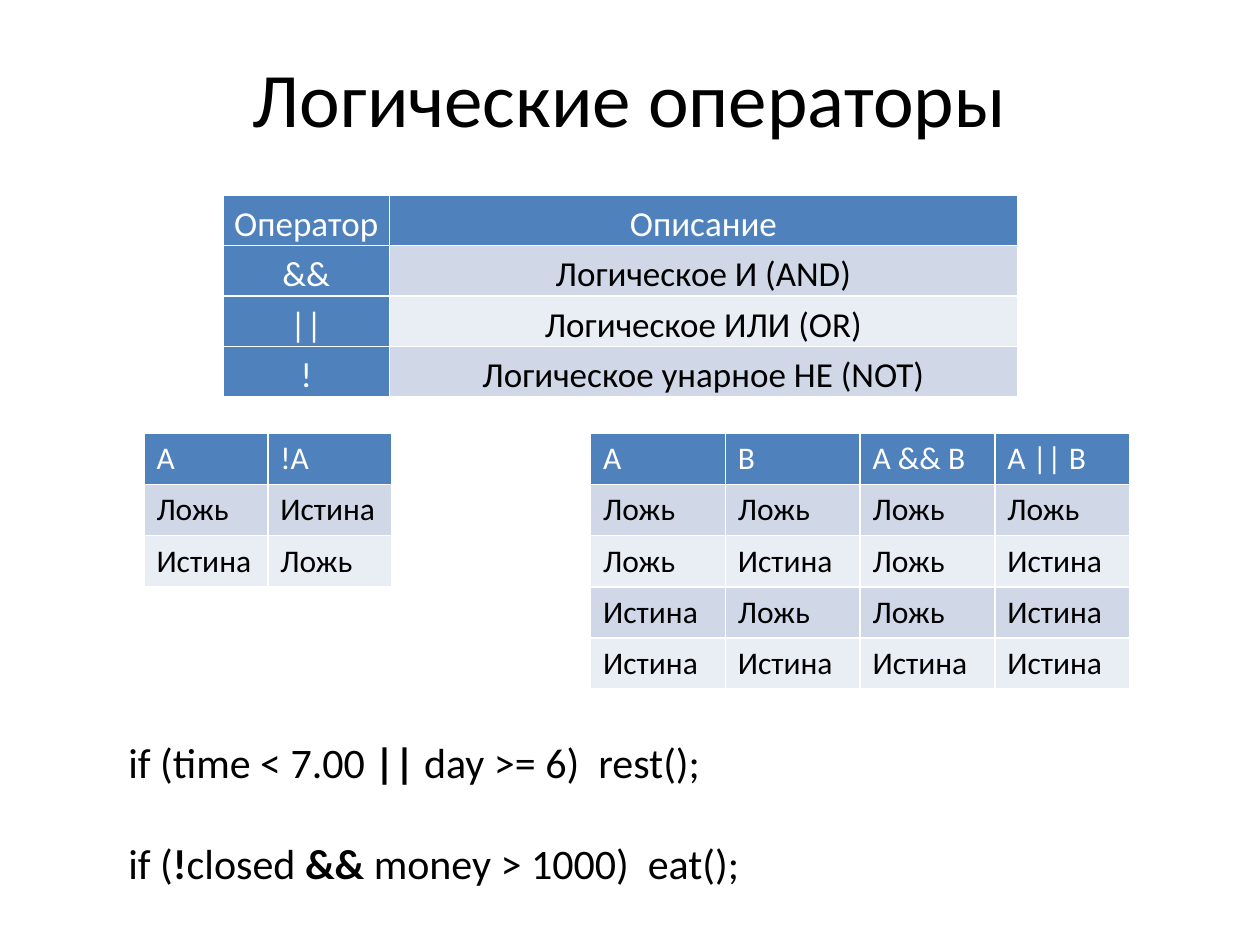
"""Build the slide on logical operators with its truth tables and code examples."""
import pptx
import pptx.util
import pptx.dml.color
import pptx.enum.text

Pt = pptx.util.Pt
RGBColor = pptx.dml.color.RGBColor
PP_ALIGN = pptx.enum.text.PP_ALIGN
MSO_ANCHOR = pptx.enum.text.MSO_ANCHOR

FONT = "Calibri"
BLACK = RGBColor(0x00, 0x00, 0x00)
WHITE = RGBColor(0xFF, 0xFF, 0xFF)
BLUE = RGBColor(0x4F, 0x81, 0xBD)
BANDS = (RGBColor(0xD0, 0xD8, 0xE8), RGBColor(0xE9, 0xED, 0xF4))

TITLE = "Логические операторы"
F, T = "Ложь", "Истина"

OPERATORS = [
    ("Оператор", "Описание"),
    ("&&", "Логическое И (AND)"),
    ("||", "Логическое ИЛИ (OR)"),
    ("!", "Логическое унарное НЕ (NOT)"),
]
NEGATION = [("A", "!A"), (F, T), (T, F)]
AND_OR = [
    ("A", "B", "A && B", "A || B"),
    (F, F, F, F),
    (F, T, F, T),
    (T, F, F, T),
    (T, T, T, T),
]
EXAMPLES = [
    [("if (time < 7.00 ", False), ("||", True), (" day >= 6)  rest();", False)],
    [("if (", False), ("!", True), ("closed ", False), ("&&", True),
     (" money > 1000)  eat();", False)],
]


def style(paragraph, size, color):
    paragraph.font.name = FONT
    paragraph.font.size = Pt(size)
    paragraph.font.color.rgb = color


def add_grid(slide, rows, left, top, widths, row_height, size, described=False):
    grid = slide.shapes.add_table(
        len(rows), len(widths), Pt(left), Pt(top),
        Pt(sum(widths)), Pt(row_height * len(rows))).table
    grid.first_col = described
    for column, width in zip(grid.columns, widths):
        column.width = Pt(width)
    for r, row in enumerate(rows):
        grid.rows[r].height = Pt(row_height)
        for c, label in enumerate(row):
            heading = r == 0 or (described and c == 0)
            cell = grid.cell(r, c)
            cell.text = label
            cell.fill.solid()
            cell.fill.fore_color.rgb = BLUE if heading else BANDS[(r - 1) % 2]
            paragraph = cell.text_frame.paragraphs[0]
            style(paragraph, size, WHITE if heading else BLACK)
            paragraph.runs[0].font.bold = False
            if described:
                cell.vertical_anchor = MSO_ANCHOR.BOTTOM
                cell.margin_left = cell.margin_right = Pt(5)
                cell.margin_top, cell.margin_bottom = Pt(0.7), Pt(0)
                paragraph.alignment = PP_ALIGN.CENTER
                paragraph.line_spacing = 1.15


def add_examples(slide):
    box = slide.shapes.add_textbox(Pt(66.25), Pt(417.5), Pt(556), Pt(94.5))
    frame = box.text_frame
    frame.word_wrap = True
    for i, pieces in enumerate(EXAMPLES):
        paragraph = frame.add_paragraph() if i else frame.paragraphs[0]
        style(paragraph, 24, BLACK)
        if i:
            paragraph.space_before = Pt(29)
        for words, bold in pieces:
            run = paragraph.add_run()
            run.text = words
            run.font.bold = bold


def main():
    deck = pptx.Presentation()
    deck.slide_width, deck.slide_height = Pt(720), Pt(540)
    slide = deck.slides.add_slide(deck.slide_layouts[5])

    title = slide.shapes.title
    title.left, title.top, title.width, title.height = Pt(36), Pt(21.6), Pt(648), Pt(67)
    title.text_frame.text = TITLE
    title.text_frame.vertical_anchor = MSO_ANCHOR.MIDDLE
    title.text_frame.paragraphs[0].alignment = PP_ALIGN.CENTER
    style(title.text_frame.paragraphs[0], 44, BLACK)

    add_grid(slide, OPERATORS, 127.5, 111.5, [95, 359], 28.8, 20, described=True)
    add_grid(slide, NEGATION, 82.25, 247.75, [70.8] * 2, 29.2, 18)
    add_grid(slide, AND_OR, 337.5, 247.75, [77] * 4, 29.2, 18)
    add_examples(slide)
    deck.save("out.pptx")


if __name__ == "__main__":
    main()
